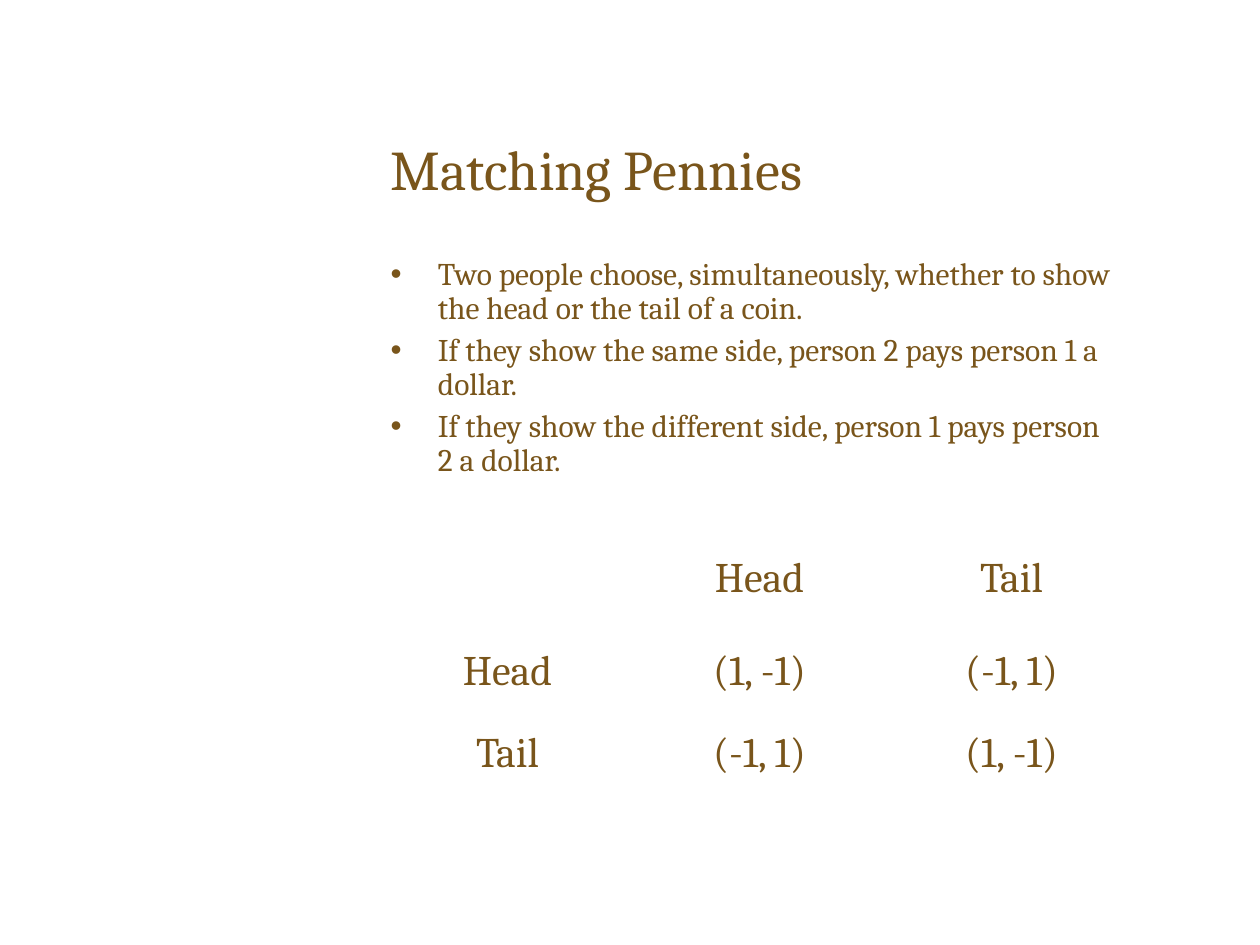
"""Build the Matching Pennies slide with its rules and payoff table."""
import pptx
import pptx.dml.color
import pptx.enum.text
import pptx.oxml
import pptx.oxml.ns
import pptx.util

Pt = pptx.util.Pt
ANCHOR = pptx.enum.text.MSO_ANCHOR
ALIGN = pptx.enum.text.PP_ALIGN
COLORS = {"text": "79551B", "border": "FFFFFF"}
NS = pptx.oxml.ns.nsdecls("a")


def write(paragraph, text, size, formats):
    run = paragraph.add_run()
    run.text = text
    run.font.name = "Cambria"
    run.font.size = Pt(size)
    run.font.color.rgb = pptx.dml.color.RGBColor.from_string(COLORS["text"])
    for name, value in formats.items():
        setattr(paragraph, name, value)


def place(placeholder, box, anchor):
    for name, value in zip(("left", "top", "width", "height"), box):
        setattr(placeholder, name, Pt(value))
    frame = placeholder.text_frame
    frame.auto_size = pptx.enum.text.MSO_AUTO_SIZE.NONE
    frame.vertical_anchor = anchor
    return frame


deck = pptx.Presentation()
deck.slide_width, deck.slide_height = Pt(720), Pt(540)
slide = deck.slides.add_slide(deck.slide_layouts[1])

heading = place(slide.shapes.title, (216, 60, 432, 72), ANCHOR.MIDDLE)
write(heading.paragraphs[0], "Matching Pennies", 32, {"alignment": ALIGN.LEFT})

rules = [
    "Two people choose, simultaneously, whether to show the head or the tail of a coin.",
    "If they show the same side, person 2 pays person 1 a dollar.",
    "If they show the different side, person 1 pays person 2 a dollar.",
]
rule_format = {"alignment": ALIGN.LEFT, "line_spacing": 0.9, "space_before": Pt(4.5)}
rule_list = place(slide.placeholders[1], (216, 144, 432, 147), ANCHOR.TOP)
for number, rule in enumerate(rules):
    item = rule_list.add_paragraph() if number else rule_list.paragraphs[0]
    write(item, rule, 18, rule_format)
    properties = item._p.get_or_add_pPr()
    properties.set("marL", str(Pt(27)))
    properties.set("indent", str(-Pt(27)))
    for bullet in (
        f'<a:buClr {NS}><a:srgbClr val="{COLORS["text"]}"/></a:buClr>',
        f'<a:buChar {NS} char="•"/>',
    ):
        properties.append(pptx.oxml.parse_xml(bullet))

payoffs = [
    ["", "Head", "Tail"],
    ["Head", "(1, -1)", "(-1, 1)"],
    ["Tail", "(-1, 1)", "(1, -1)"],
]
row_heights = [53.25, 53.25, 40.5]
game = slide.shapes.add_table(3, 3, Pt(218), Pt(304), Pt(432), Pt(sum(row_heights))).table
game.first_row = game.horz_banding = False
for row, height in zip(game.rows, row_heights):
    row.height = Pt(height)

payoff_format = {"alignment": ALIGN.CENTER, "space_before": Pt(6)}
for r, labels in enumerate(payoffs):
    for c, label in enumerate(labels):
        cell = game.cell(r, c)
        cell.vertical_anchor = ANCHOR.MIDDLE
        if label:
            write(cell.text_frame.paragraphs[0], label, 24, payoff_format)
        outer_sides = {"lnL": c == 0, "lnR": c == 2, "lnT": r == 0, "lnB": r == 2}
        for side, outer in outer_sides.items():
            cell._tc.get_or_add_tcPr().append(pptx.oxml.parse_xml(
                f'<a:{side} {NS} w="{Pt(1.08 if outer else 0.45)}"><a:solidFill>'
                f'<a:srgbClr val="{COLORS["border"]}"/></a:solidFill></a:{side}>'))
        cell.fill.background()

deck.save("out.pptx")
